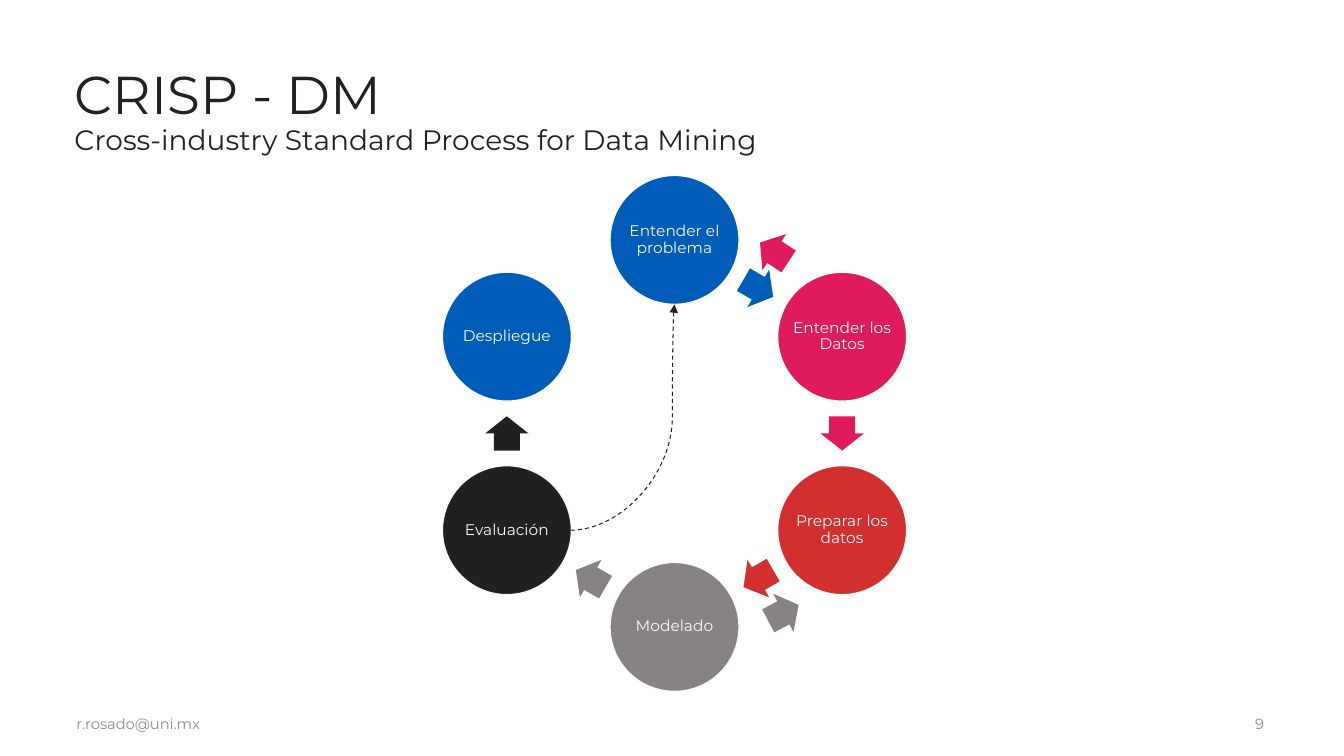
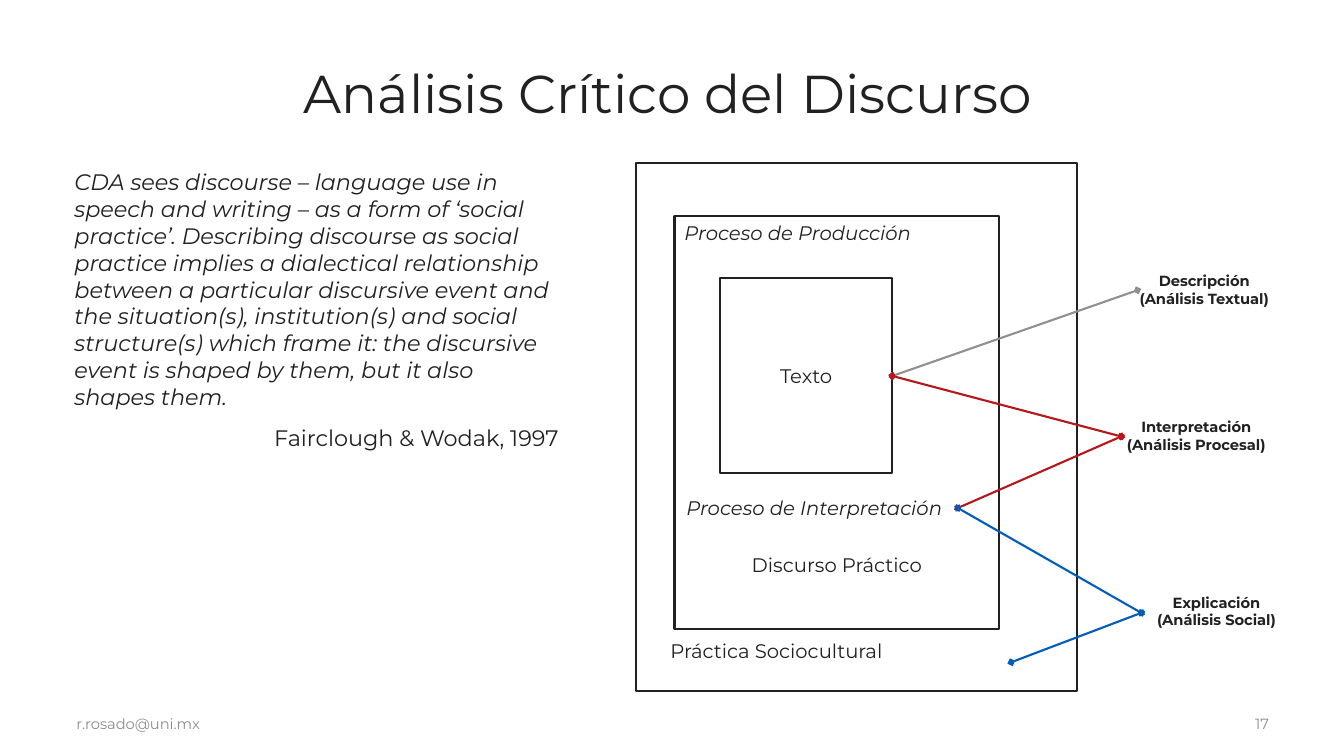
from dataclasses import dataclass
from itertools import pairwise
from math import cos, radians, sin

from lxml.etree import SubElement
from pptx import Presentation
from pptx.dml.color import RGBColor
from pptx.enum.dml import MSO_LINE
from pptx.enum.shapes import MSO_CONNECTOR as Link, MSO_SHAPE as Shape
from pptx.enum.text import MSO_ANCHOR as Anchor, PP_ALIGN as Align
from pptx.oxml.ns import qn
from pptx.util import Inches, Pt


@dataclass(frozen=True)
class Theme:
    font: str = "Montserrat"
    ink: str = "212121"
    black: str = "202020"
    light: str = "FAFAFA"
    muted: str = "8D8D8D"
    silver: str = "909090"
    gray: str = "868382"
    blue: str = "005CB9"
    pink: str = "E01B5D"
    red: str = "D2302F"
    crimson: str = "B6171A"
    title: float = 38
    subtitle: float = 20
    body: float = 16
    diagram: float = 14
    step: float = 11
    small: float = 10.5


THEME = Theme()
EMAIL = "r.rosado@uni.mx"


# Text
def write(frame, *paragraphs, size=THEME.diagram, color=THEME.ink, bold=False,
          italic=False, align=Align.LEFT, anchor=Anchor.TOP, spacing=None,
          before=0, insets=(0.1, 0.05, 0.1, 0.05), wrap=True):
    """Each paragraph is a string, or a (string, dict of overrides) pair."""
    frame.word_wrap = wrap
    frame.vertical_anchor = anchor
    (frame.margin_left, frame.margin_top,
     frame.margin_right, frame.margin_bottom) = map(Inches, insets)
    for index, item in enumerate(paragraphs):
        text, own = (item, {}) if isinstance(item, str) else item
        paragraph = frame.paragraphs[0] if index == 0 else frame.add_paragraph()
        paragraph.text = text
        paragraph.alignment = own.get("align", align)
        paragraph.line_spacing = spacing
        paragraph.space_before = Pt(before)
        for run in paragraph.runs:
            run.font.name = THEME.font
            run.font.size = Pt(own.get("size", size))
            run.font.bold = bold
            run.font.italic = own.get("italic", italic)
            run.font.color.rgb = RGBColor.from_string(color)


def text_box(slide, box, *paragraphs, **style):
    frame = slide.shapes.add_textbox(*map(Inches, box)).text_frame
    write(frame, *paragraphs, **style)


# Shapes and lines
def add_figure(slide, kind, box, fill=None, line=None, width=1):
    figure = slide.shapes.add_shape(kind, *map(Inches, box))
    figure.shadow.inherit = False
    if fill:
        figure.fill.solid()
        figure.fill.fore_color.rgb = RGBColor.from_string(fill)
    else:
        figure.fill.background()
    if line:
        figure.line.color.rgb = RGBColor.from_string(line)
        figure.line.width = Pt(width)
    else:
        figure.line.fill.background()
    return figure


def add_link(slide, start, end, color, width, kind=Link.STRAIGHT,
             head=None, tail=None, dash=None, bend=None):
    link = slide.shapes.add_connector(kind, *map(Inches, (*start, *end)))
    link.line.color.rgb = RGBColor.from_string(color)
    link.line.width = Pt(width)
    if dash:
        link.line.dash_style = dash
    properties = link.element.spPr
    outline = properties.find(qn("a:ln"))
    for tag, tip in (("a:headEnd", head), ("a:tailEnd", tail)):
        if tip:
            SubElement(outline, qn(tag), type=tip)
    SubElement(properties, qn("a:effectLst"))
    if bend is not None:
        guides = properties.find(qn("a:prstGeom")).get_or_add_avLst()
        SubElement(guides, qn("a:gd"), name="adj1", fmla=f"val {round(bend * 100000)}")


def block_arrow(slide, center, angle, color):
    width, height = 0.34, 0.43
    x, y = center
    arrow = add_figure(slide, Shape.RIGHT_ARROW,
                       (x - width / 2, y - height / 2, width, height), color)
    arrow.adjustments[0], arrow.adjustments[1] = 0.6, 0.5
    arrow.rotation = angle


# Parts that all slides share
def new_slide(deck, number, *title, top, height, align=Align.LEFT):
    slide = deck.slides.add_slide(deck.slide_layouts[6])
    text_box(slide, (0.64, top, 11.97, height), *title, size=THEME.title,
             align=align, anchor=Anchor.MIDDLE, spacing=0.9)
    for left, width, text in ((0.66, 7.74, EMAIL), (12.35, 0.39, str(number))):
        text_box(slide, (left, 6.86, width, 0.64), text, size=THEME.small,
                 color=THEME.muted, anchor=Anchor.MIDDLE)
    return slide


def crisp_slide(deck):
    slide = new_slide(
        deck, 9, "CRISP - DM",
        ("Cross-industry Standard Process for Data Mining", {"size": THEME.subtitle}),
        top=0.39, height=1.46)

    # Six steps, clockwise from the top of the ring
    steps = [("Entender el\vproblema", THEME.blue),
             ("Entender los\vDatos", THEME.pink),
             ("Preparar los\vdatos", THEME.red),
             ("Modelado", THEME.gray),
             ("Evaluación", THEME.black),
             ("Despliegue", THEME.blue)]
    center_x, center_y, radius, diameter = 6.69, 4.3, 1.92, 1.28
    centers = []
    for index, (label, color) in enumerate(steps):
        turn = radians(60 * index)
        x, y = center_x + radius * sin(turn), center_y - radius * cos(turn)
        centers.append((x, y))
        circle = add_figure(slide, Shape.OVAL,
                            (x - diameter / 2, y - diameter / 2, diameter, diameter),
                            color, THEME.light)
        write(circle.text_frame, label, size=THEME.step, color=THEME.light,
              align=Align.CENTER, anchor=Anchor.MIDDLE, spacing=0.9,
              insets=(0, 0, 0, 0), wrap=False)

    # Forward arrows sit midway between neighbours
    for index, ((x1, y1), (x2, y2)) in enumerate(pairwise(centers)):
        block_arrow(slide, ((x1 + x2) / 2, (y1 + y2) / 2),
                    30 + 60 * index, steps[index][1])

    # Ways back
    block_arrow(slide, (7.68, 2.5), 213.3, THEME.pink)
    block_arrow(slide, (7.77, 6.08), 332.2, THEME.gray)
    add_link(slide, (5.66, 5.26), (6.69, 3.02), THEME.ink, 0.75, Link.CURVE,
             tail="triangle", dash=MSO_LINE.DASH, bend=0.98)


def discourse_slide(deck):
    slide = new_slide(deck, 17, "Análisis Crítico del Discurso",
                      top=0.51, height=0.89, align=Align.CENTER)

    # Quotation
    text_box(slide, (0.64, 1.62, 5, 5.24),
             "CDA sees discourse – language use in speech and writing – as a form of "
             "‘social practice’. Describing discourse as social practice implies a "
             "dialectical relationship between a particular discursive event and the "
             "situation(s), institution(s) and social structure(s) which frame it: the "
             "discursive event is shaped by them, but it also shapes them.",
             ("Fairclough & Wodak, 1997", {"align": Align.RIGHT, "italic": False}),
             size=THEME.body, italic=True, before=10)

    # Nested frames, from the outside in
    frames = [
        ((6.31, 1.62, 4.37, 5.24), "Práctica Sociocultural",
         Align.LEFT, Anchor.BOTTOM, (0.34, 0.05, 0.1, 0.29)),
        ((6.69, 2.14, 3.22, 4.1), "Discurso Práctico",
         Align.CENTER, Anchor.BOTTOM, (0.1, 0.05, 0.1, 0.52)),
        ((7.14, 2.76, 1.71, 1.93), "Texto",
         Align.CENTER, Anchor.MIDDLE, (0.1, 0.05, 0.1, 0.05)),
    ]
    for box, label, align, anchor, insets in frames:
        level = add_figure(slide, Shape.RECTANGLE, box, line=THEME.ink, width=1.5)
        write(level.text_frame, label, align=align, anchor=anchor, insets=insets)

    for left, top, width, process in ((6.69, 2.14, 2.48, "Proceso de Producción"),
                                      (6.71, 4.87, 2.79, "Proceso de Interpretación")):
        text_box(slide, (left, top, width, 0.34), process, italic=True, wrap=False)

    # Kinds of analysis
    for left, top, width, stage, analysis in (
            (11.28, 2.65, 1.33, "Descripción", "(Análisis Textual)"),
            (11.12, 4.1, 1.49, "Interpretación", "(Análisis Procesal)"),
            (11.32, 5.84, 1.49, "Explicación", "(Análisis Social)")):
        text_box(slide, (left, top, width, 0.47), stage, analysis, size=THEME.small,
                 bold=True, align=Align.CENTER, insets=(0, 0.05, 0, 0.05))

    # Links from the frames to the analyses
    texto, process, practice = (8.85, 3.73), (9.5, 5.04), (10.03, 6.57)
    description, interpretation, explanation = (11.28, 2.88), (11.12, 4.33), (11.32, 6.08)
    for start, end, color in ((texto, description, THEME.silver),
                              (texto, interpretation, THEME.crimson),
                              (process, interpretation, THEME.crimson),
                              (process, explanation, THEME.blue),
                              (practice, explanation, THEME.blue)):
        add_link(slide, start, end, color, 1.5, head="diamond", tail="diamond")


def main():
    deck = Presentation()
    deck.slide_width, deck.slide_height = Inches(13.33), Inches(7.5)
    crisp_slide(deck)
    discourse_slide(deck)
    deck.save("out.pptx")


if __name__ == "__main__":
    main()
